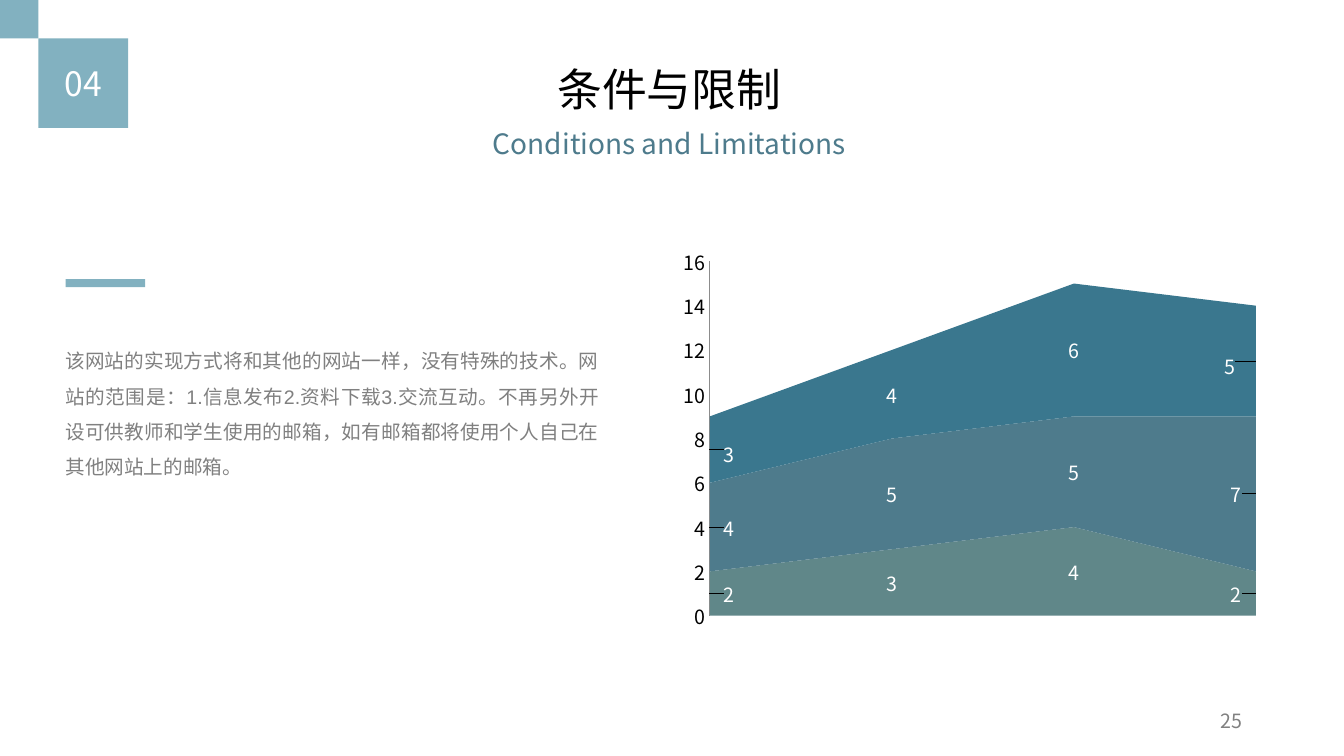
from dataclasses import dataclass

from lxml.etree import SubElement
from pptx import Presentation
from pptx.chart.data import CategoryChartData
from pptx.dml.color import RGBColor
from pptx.enum.chart import XL_CHART_TYPE, XL_TICK_MARK
from pptx.enum.shapes import MSO_SHAPE
from pptx.enum.text import MSO_ANCHOR, PP_ALIGN
from pptx.oxml import parse_xml
from pptx.oxml.ns import nsdecls, qn
from pptx.util import Emu, Pt

EMU_PER_PX = 9144


@dataclass(frozen=True)
class Theme:
    """Colours, fonts and type sizes of the slide."""

    accent: str = "82B1C0"
    subtitle: str = "4E7B8C"
    muted: str = "808080"
    axis: str = "8C8C8C"
    dark: str = "000000"
    light: str = "FFFFFF"
    sans: str = "Noto Sans CJK SC"
    arial: str = "Arial"
    title_size: int = 32
    number_size: int = 24
    subtitle_size: int = 20
    body_size: int = 14


THEME = Theme()

LAYERS = [
    ("Series 1", (2, 3, 4, 2), "608789", {0: (0.03, 0), 3: (-0.03, 0)}),
    ("Series 2", (4, 5, 5, 7), "4E7B8C", {0: (0.03, 0), 3: (-0.03, 0)}),
    ("Series 3", (3, 4, 6, 5), "3A778E", {0: (0.03, 0.01), 3: (-0.04, 0.01)}),
]

BODY = (
    "该网站的实现方式将和其他的网站一样，没有特殊的技术。网站的范围是："
    "1.信息发布2.资料下载3.交流互动。不再另外开设可供教师和学生使用的邮箱，"
    "如有邮箱都将使用个人自己在其他网站上的邮箱。"
)


def px(*lengths):
    """Turn pixel lengths into a list of EMU lengths."""
    return [Emu(length * EMU_PER_PX) for length in lengths]


def style_font(font, size, color, name=THEME.sans):
    """Set size, colour and typeface of a font."""
    font.size = Pt(size)
    font.color.rgb = RGBColor.from_string(color)
    font.name = name


def write_text(shape, text, size, color, align, name=THEME.sans, spacing=None):
    """Put one styled paragraph into a shape."""
    text_frame = shape.text_frame
    text_frame.text = text
    text_frame.word_wrap = True
    paragraph = text_frame.paragraphs[0]
    paragraph.alignment = align
    paragraph.line_spacing = spacing
    run = paragraph.runs[0]
    style_font(run.font, size, color, name)
    east_asian = SubElement(run.font._element, qn("a:ea"))
    east_asian.set("typeface", THEME.sans)


def add_block(slide, box):
    """Add a plain accent rectangle."""
    shape = slide.shapes.add_shape(MSO_SHAPE.RECTANGLE, *px(*box))
    shape.shadow.inherit = False
    shape.fill.solid()
    shape.fill.fore_color.rgb = RGBColor.from_string(THEME.accent)
    shape.line.fill.background()
    return shape


def add_label(slide, box, *text_style, **options):
    """Add a text box with one styled paragraph."""
    shape = slide.shapes.add_textbox(*px(*box))
    write_text(shape, *text_style, **options)
    return shape


def manual_layout(**settings):
    """Build a manual chart layout element."""
    values = "".join(f'<c:{key} val="{value}"/>' for key, value in settings.items())
    return parse_xml(
        f"<c:layout {nsdecls('c')}><c:manualLayout>{values}</c:manualLayout></c:layout>"
    )


def style_series(series, color, label_offsets):
    """Colour a series and place its value labels."""
    series.format.fill.solid()
    series.format.fill.fore_color.rgb = RGBColor.from_string(color)
    labels = series.data_labels
    labels.show_value = True
    style_font(labels.font, THEME.body_size, THEME.light)
    for index, (x, y) in label_offsets.items():
        style_font(series.points[index].data_label.font, THEME.body_size, THEME.light)
    for point_label in labels._element.findall(qn("c:dLbl")):
        index = point_label.find(qn("c:idx"))
        x, y = label_offsets[int(index.get("val"))]
        index.addnext(manual_layout(x=x, y=y))


def add_area_chart(slide, box):
    """Add the stacked area chart."""
    data = CategoryChartData()
    data.categories = ["1", "2", "3", "4"]
    for name, values, _, _ in LAYERS:
        data.add_series(name, values)
    chart = slide.shapes.add_chart(XL_CHART_TYPE.AREA_STACKED, *px(*box), data).chart
    chart.has_legend = False
    chart.has_title = False
    style_font(chart.font, THEME.body_size, THEME.dark)
    chart.category_axis.visible = False
    axis = chart.value_axis
    axis.has_major_gridlines = False
    axis.major_tick_mark = axis.minor_tick_mark = XL_TICK_MARK.NONE
    axis.minimum_scale, axis.maximum_scale, axis.major_unit = 0, 16, 2
    axis.format.line.color.rgb = RGBColor.from_string(THEME.axis)
    style_font(axis.tick_labels.font, THEME.body_size, THEME.dark)
    for series, (_, _, color, offsets) in zip(chart.plots[0].series, LAYERS):
        style_series(series, color, offsets)
    plot_area = chart._chartSpace.find(".//" + qn("c:plotArea"))
    for layout in plot_area.findall(qn("c:layout")):
        plot_area.remove(layout)
    plot_area.insert(0, manual_layout(
        layoutTarget="inner", xMode="edge", yMode="edge", x=0.11, y=0.1, w=0.84, h=0.81
    ))


def main():
    """Build and save the slide."""
    presentation = Presentation()
    presentation.slide_width, presentation.slide_height = px(1333, 750)
    slide = presentation.slides.add_slide(presentation.slide_layouts[6])

    add_block(slide, (0, 0, 38, 38))
    badge = add_block(slide, (38, 38, 89, 89))
    write_text(badge, "04", THEME.number_size, THEME.light, PP_ALIGN.CENTER)
    badge.text_frame.vertical_anchor = MSO_ANCHOR.MIDDLE

    add_area_chart(slide, (633, 216, 645, 434))
    add_label(slide, (55, 330, 549, 151), BODY, THEME.body_size, THEME.muted,
              PP_ALIGN.JUSTIFY, name=THEME.arial, spacing=1.5)
    add_label(slide, (172, 56, 984, 64), "条件与限制", THEME.title_size, THEME.dark,
              PP_ALIGN.CENTER, name=THEME.arial)
    add_label(slide, (172, 121, 984, 44), "Conditions and Limitations",
              THEME.subtitle_size, THEME.subtitle, PP_ALIGN.CENTER)
    page_number = add_label(slide, (942, 695, 300, 40), "25", THEME.body_size,
                            THEME.muted, PP_ALIGN.RIGHT)
    page_number.text_frame.vertical_anchor = MSO_ANCHOR.MIDDLE
    add_block(slide, (65, 277, 79, 8))

    presentation.save("out.pptx")


if __name__ == "__main__":
    main()
